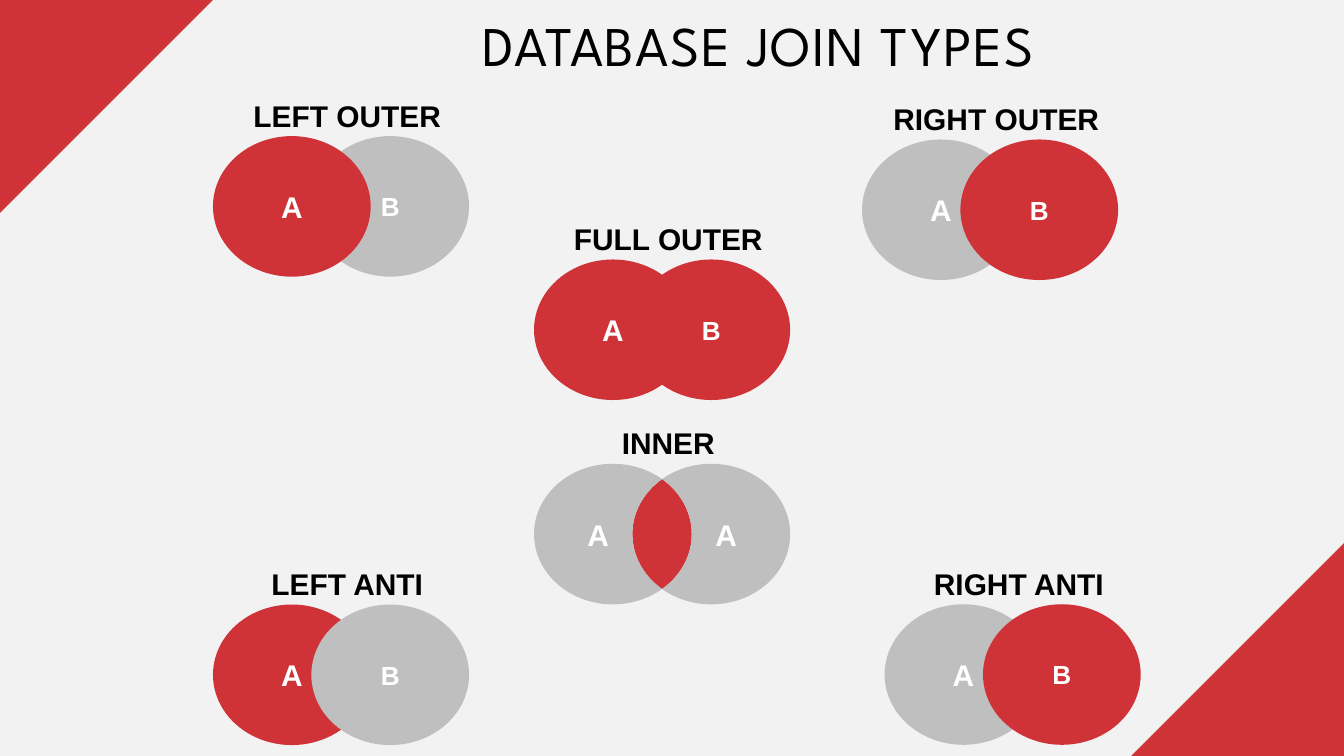
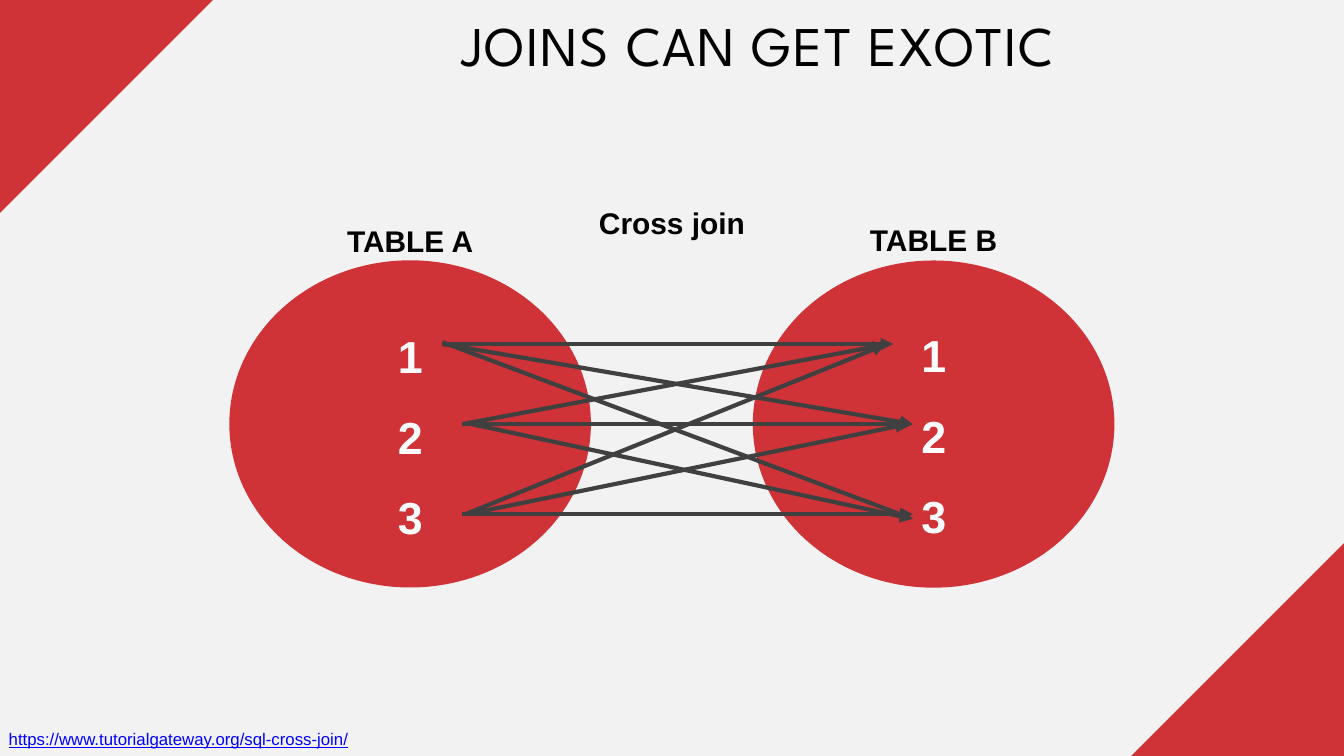
"""Build two slides on database join types."""
from math import acos, cos, pi, sin, tan

from lxml.etree import SubElement
from pptx import Presentation
from pptx.dml.color import RGBColor
from pptx.enum.shapes import MSO_CONNECTOR, MSO_SHAPE
from pptx.enum.text import MSO_ANCHOR, MSO_AUTO_SIZE, PP_ALIGN
from pptx.oxml.ns import qn
from pptx.util import Pt

COLORS = {
    "background": "F2F2F2", "red": "CF3338", "gray": "BFBFBF", "black": "000000",
    "white": "FFFFFF", "arrow": "404040", "url": "0000FF",
}
WIDTH, HEIGHT = 1440, 810
CORNER = 228
CIRCLE_W, CIRCLE_H, CIRCLE_STEP = 169, 150.6, 105.4
TABLE_W, TABLE_H = 387.4, 350.6
LETTER_SIZES = {"A": 32, "B": 28}

JOIN_TITLE = "DATABASE JOIN TYPES"
JOINS = [
    {"name": "LEFT OUTER", "at": (228.2, 145.8), "fills": ("red", "gray"), "front": "A"},
    {"name": "FULL OUTER", "at": (572.2, 278), "fills": ("red", "red"), "front": "A"},
    {"name": "RIGHT OUTER", "at": (923.6, 149.4), "fills": ("gray", "red"), "front": "B"},
    {"name": "INNER", "at": (572.2, 496.9), "overlap": "red", "sides": "gray", "letter": "A"},
    {"name": "LEFT ANTI", "at": (228.2, 647.7), "fills": ("red", "gray"), "front": "B"},
    {"name": "RIGHT ANTI", "at": (947.8, 647.4), "fills": ("gray", "red"), "front": "B"},
]

CROSS_TITLE = "JOINS CAN GET EXOTIC"
CROSS_LABEL = {"name": "Cross join", "at": (483.2, 216)}
TABLES = [
    {"name": "TABLE A", "at": (245.7, 278.9), "label_top": 235.4, "rows_top": 319.8},
    {"name": "TABLE B", "at": (806.6, 279.1), "label_top": 233.4, "rows_top": 318.8},
]
ROWS = ["1", "2", "3"]
ARROWS = [
    ((474, 368.6), (957, 368.6)),
    ((474, 368.6), (978, 454.4)),
    ((474, 366.6), (978, 556)),
    ((495.4, 454.4), (978, 454.4)),
    ((495.4, 454.4), (948.4, 369.4)),
    ((505.4, 454.4), (978, 556)),
    ((495.4, 550.8), (978, 550.8)),
    ((499, 550.8), (948.4, 369.4)),
    ((505.4, 550), (972.8, 454.4)),
]
SOURCE_URL = "https://www.tutorialgateway.org/sql-cross-join/"


def rgb(name):
    return RGBColor.from_string(COLORS[name])


def write(frame, *lines, size=32, color="black", bold=True, font="Arial",
          align=PP_ALIGN.CENTER, anchor=MSO_ANCHOR.TOP, spacing=None,
          underline=None, tracking=None, indent=None):
    frame.word_wrap = True
    frame.auto_size = MSO_AUTO_SIZE.NONE
    frame.vertical_anchor = anchor
    for index, line in enumerate(lines):
        paragraph = frame.add_paragraph() if index else frame.paragraphs[0]
        paragraph.alignment = align
        paragraph.line_spacing = spacing
        if indent is not None:
            properties = paragraph._p.get_or_add_pPr()
            properties.set("marL", str(Pt(indent)))
            properties.set("indent", "0")
        run = paragraph.add_run()
        run.text = line
        run.font.name = font
        run.font.size = Pt(size)
        run.font.bold = bold
        run.font.underline = underline
        run.font.color.rgb = rgb(color)
        if tracking:
            run._r.get_or_add_rPr().set("spc", str(round(tracking * 100)))


def add_text(slide, left, top, width, height, *lines, **style):
    box = slide.shapes.add_textbox(Pt(left), Pt(top), Pt(width), Pt(height))
    write(box.text_frame, *lines, **style)


def paint(shape, color):
    shape.shadow.inherit = False
    shape.fill.solid()
    shape.fill.fore_color.rgb = rgb(color)
    shape.line.fill.background()
    return shape


def add_ellipse(slide, left, top, width, height, color):
    ellipse = slide.shapes.add_shape(
        MSO_SHAPE.OVAL, Pt(left), Pt(top), Pt(width), Pt(height))
    return paint(ellipse, color)


def add_outline(slide, points, color):
    points = [(Pt(x), Pt(y)) for x, y in points]
    builder = slide.shapes.build_freeform(*points[0])
    builder.add_line_segments(points[1:])
    return paint(builder.convert_to_shape(), color)


def add_curved_outline(slide, points, color):
    """Turn every three points after the first into one Bézier curve."""
    shape = add_outline(slide, points, color)
    segments = list(shape._element.iter(qn("a:lnTo")))
    for first in range(0, len(segments), 3):
        curve, *others = segments[first:first + 3]
        bezier = curve.getparent().makeelement(qn("a:cubicBezTo"), {})
        curve.addprevious(bezier)
        for segment in (curve, *others):
            bezier.append(segment[0])
            segment.getparent().remove(segment)
    return shape


def add_letter(shape, letter):
    write(shape.text_frame, letter, size=LETTER_SIZES[letter], color="white",
          anchor=MSO_ANCHOR.MIDDLE)


def start_slide(deck, heading):
    slide = deck.slides.add_slide(deck.slide_layouts[5])
    slide.background.fill.solid()
    slide.background.fill.fore_color.rgb = rgb("background")
    title = slide.shapes.title
    title.left, title.top, title.width, title.height = (
        Pt(300.2), Pt(44.6), Pt(1003.7), Pt(46.8))
    frame = title.text_frame
    frame.margin_left = frame.margin_right = frame.margin_top = frame.margin_bottom = 0
    write(frame, heading, size=60, bold=False, font="League Spartan",
          spacing=Pt(38.4), tracking=1.6, indent=20.9)
    add_outline(slide, [(0, 0), (CORNER, 0), (0, CORNER)], "red")
    add_outline(slide, [(WIDTH, HEIGHT), (WIDTH - CORNER, HEIGHT),
                        (WIDTH, HEIGHT - CORNER)], "red")
    return slide


def add_circles(slide, join):
    left, top = join["at"]
    circles = list(zip("AB", (left, left + CIRCLE_STEP), join["fills"]))
    for letter, x, color in sorted(circles, key=lambda circle: circle[0] == join["front"]):
        add_letter(add_ellipse(slide, x, top, CIRCLE_W, CIRCLE_H, color), letter)


def arc(center, start, end):
    quarters = [turn * pi / 2 for turn in range(-4, 5)]
    inner = [angle for angle in quarters if min(start, end) < angle < max(start, end)]
    stops = [start, *sorted(inner, reverse=end < start), end]

    def point(angle, pull=0):
        return (center[0] + CIRCLE_W / 2 * (cos(angle) - pull * sin(angle)),
                center[1] + CIRCLE_H / 2 * (sin(angle) + pull * cos(angle)))

    points = [point(start)]
    for here, there in zip(stops, stops[1:]):
        pull = 4 / 3 * tan((there - here) / 4)
        points += [point(here, pull), point(there, -pull), point(there)]
    return points


def add_overlap(slide, join):
    left, top = join["at"]
    center_a = (left + CIRCLE_W / 2, top + CIRCLE_H / 2)
    center_b = (center_a[0] + CIRCLE_STEP, center_a[1])
    cross = acos(CIRCLE_STEP / CIRCLE_W)
    edge_of_b = arc(center_b, pi + cross, pi - cross)
    overlap = edge_of_b + arc(center_a, cross, -cross)[1:]
    only_b = arc(center_b, pi - cross, cross - pi) + arc(center_a, -cross, cross)[1:]
    only_a = arc(center_a, cross, 2 * pi - cross) + edge_of_b[1:]
    add_curved_outline(slide, overlap, join["overlap"])
    for side in (only_b, only_a):
        add_letter(add_curved_outline(slide, side, join["sides"]), join["letter"])


def add_arrow(slide, start, end):
    arrow = slide.shapes.add_connector(
        MSO_CONNECTOR.STRAIGHT, *(Pt(value) for value in start + end))
    arrow.line.color.rgb = rgb("arrow")
    arrow.line.width = Pt(4.5)
    SubElement(arrow.line._get_or_add_ln(), qn("a:tailEnd"), type="triangle")
    SubElement(arrow._element.spPr, qn("a:effectLst"))


def build_join_types(deck):
    slide = start_slide(deck, JOIN_TITLE)
    for join in JOINS:
        draw = add_overlap if "overlap" in join else add_circles
        draw(slide, join)
        left, top = join["at"]
        add_text(slide, left + 23.9, top - 45.2, 240, 46, join["name"])


def build_cross_join(deck):
    slide = start_slide(deck, CROSS_TITLE)
    add_text(slide, 2.2, 776.9, 617.8, 28.8, SOURCE_URL, size=18, color="url",
             bold=False, underline=True, align=PP_ALIGN.LEFT)
    for table in TABLES:
        add_ellipse(slide, *table["at"], TABLE_W, TABLE_H, "red")
    add_text(slide, *CROSS_LABEL["at"], 473.8, 46, CROSS_LABEL["name"])
    for table in TABLES:
        add_text(slide, table["at"][0] + 128, table["rows_top"], 131.8, 257.8, *ROWS,
                 size=48, color="white", spacing=1.5)
    for start, end in ARROWS:
        add_arrow(slide, start, end)
    for table in TABLES:
        add_text(slide, table["at"][0] - 43.2, table["label_top"], 473.8, 46, table["name"])


def main():
    deck = Presentation()
    deck.slide_width, deck.slide_height = Pt(WIDTH), Pt(HEIGHT)
    build_join_types(deck)
    build_cross_join(deck)
    deck.save("out.pptx")


if __name__ == "__main__":
    main()
